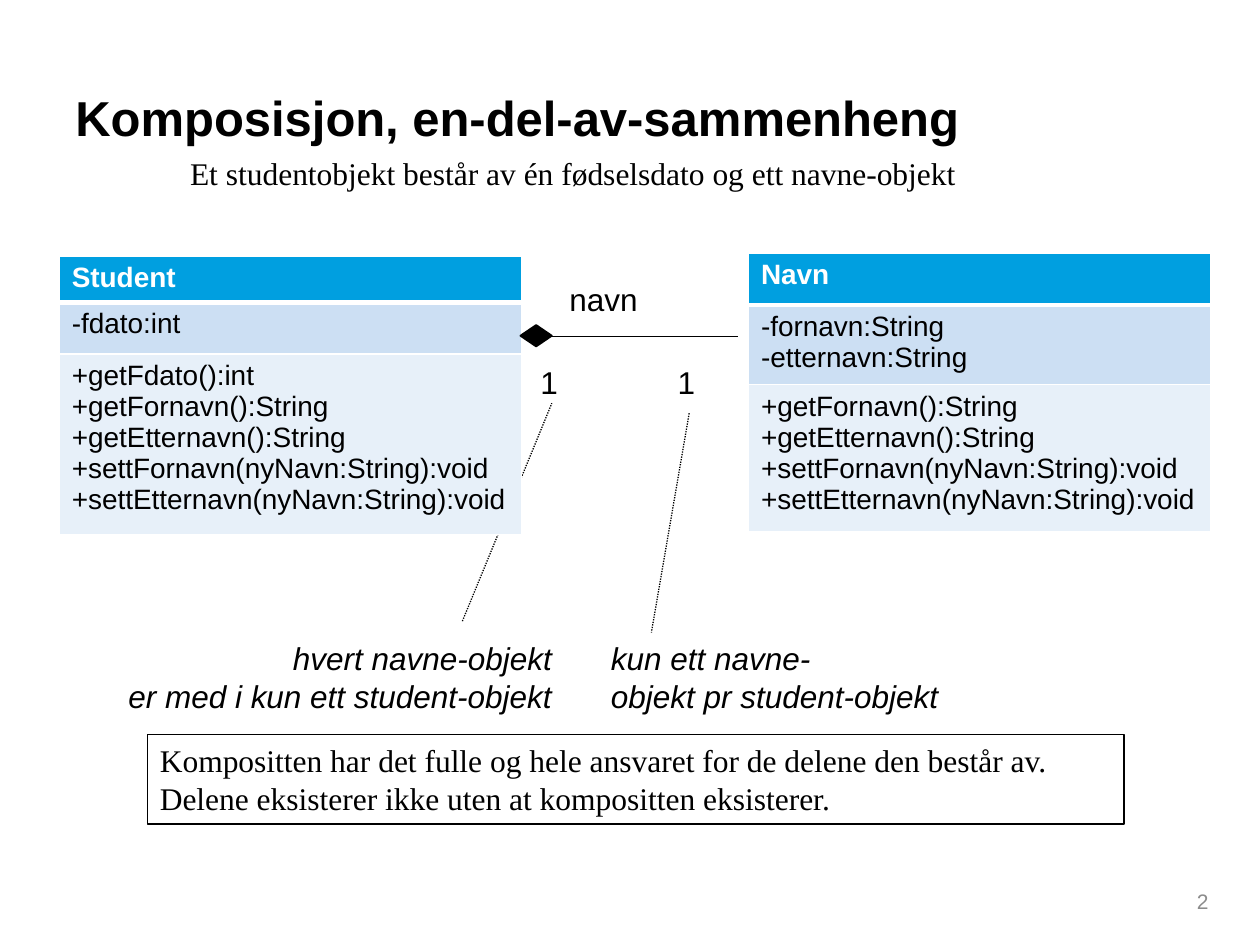
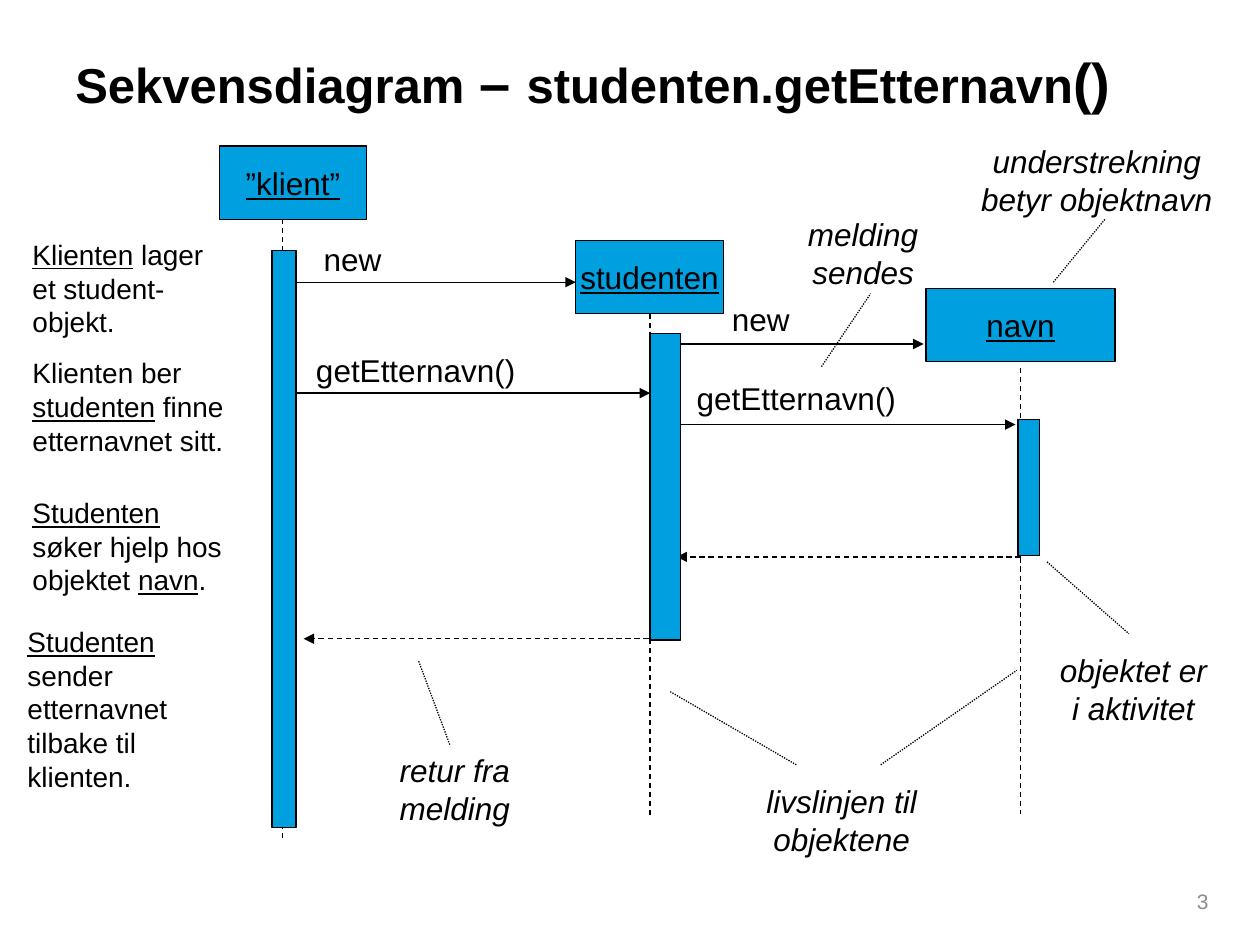
from dataclasses import dataclass
from typing import Any, NamedTuple, Optional

import pptx
import pptx.dml.color
import pptx.enum.dml
import pptx.enum.shapes
import pptx.enum.text
import pptx.oxml
import pptx.oxml.ns
import pptx.util
from lxml import etree

Inches = pptx.util.Inches
RGBColor = pptx.dml.color.RGBColor
Align = pptx.enum.text.PP_ALIGN
Anchor = pptx.enum.text.MSO_ANCHOR
Dash = pptx.enum.dml.MSO_LINE
Preset = pptx.enum.shapes.MSO_SHAPE


@dataclass(frozen=True)
class Theme:
    black: RGBColor = RGBColor(0x00, 0x00, 0x00)
    white: RGBColor = RGBColor(0xFF, 0xFF, 0xFF)
    grey: RGBColor = RGBColor(0x8C, 0x8C, 0x8C)
    blue: RGBColor = RGBColor(0x00, 0x9F, 0xE0)
    attribute_band: RGBColor = RGBColor(0xCC, 0xDF, 0xF3)
    method_band: RGBColor = RGBColor(0xE7, 0xF0, 0xF9)
    sans: str = "Arial"
    serif: str = "Times New Roman"
    title_size: int = 28
    title_accent_size: int = 32
    label_size: int = 18
    small_size: int = 16
    number_size: int = 12
    line_width: float = 0.75


THEME = Theme()


class Box(NamedTuple):
    left: float
    top: float
    width: float
    height: float


class Line(NamedTuple):
    start: tuple[float, float]
    end: tuple[float, float]
    dash: Optional[Any] = None
    arrow: bool = False


class Label(NamedTuple):
    box: Box
    text: str


class UmlClass(NamedTuple):
    left: float
    top: float
    row_heights: tuple[float, float, float]
    compartments: tuple[str, str, str]


def lengths(*values: float) -> list[int]:
    return [Inches(value) for value in values]


def write_text(
    frame: Any, text: str, *, size: float = THEME.label_size, font: str = THEME.sans,
    color: RGBColor = THEME.black, bold: bool = False, italic: bool = False,
    align: Any = Align.LEFT, marked_size: Optional[float] = None,
) -> None:
    """Write one paragraph per line; _marked_ parts are underlined, or resized to marked_size."""
    for index, line in enumerate(text.split("\n")):
        paragraph = frame.paragraphs[0] if index == 0 else frame.add_paragraph()
        paragraph.alignment = align
        for part_index, part in enumerate(line.split("_")):
            if not part:
                continue
            marked = part_index % 2 == 1
            run = paragraph.add_run()
            run.text = part
            run.font.name = font
            run.font.size = pptx.util.Pt(marked_size if marked and marked_size else size)
            run.font.color.rgb = color
            run.font.bold = bold
            run.font.italic = italic
            run.font.underline = marked and marked_size is None


def add_text(
    slide: Any, box: Box, text: str, *, wrap: bool = False, grow: bool = True,
    anchor: Any = Anchor.TOP, **text_format: Any,
) -> None:
    frame = slide.shapes.add_textbox(*lengths(*box)).text_frame
    frame.word_wrap = wrap
    if grow:
        frame.auto_size = pptx.enum.text.MSO_AUTO_SIZE.SHAPE_TO_FIT_TEXT
    frame.vertical_anchor = anchor
    write_text(frame, text, **text_format)


def add_block(
    slide: Any, box: Box, *, preset: Any = Preset.RECTANGLE,
    fill: Optional[RGBColor] = THEME.blue, line_width: float = THEME.line_width,
) -> Any:
    shape = slide.shapes.add_shape(preset, *lengths(*box))
    shape.shadow.inherit = False
    if fill is None:
        shape.fill.background()
    else:
        shape.fill.solid()
        shape.fill.fore_color.rgb = fill
    shape.line.color.rgb = THEME.black
    shape.line.width = pptx.util.Pt(line_width)
    return shape


def add_line(slide: Any, line: Line) -> None:
    connector = slide.shapes.add_connector(
        pptx.enum.shapes.MSO_CONNECTOR.STRAIGHT, *lengths(*line.start, *line.end))
    connector.line.color.rgb = THEME.black
    connector.line.width = pptx.util.Pt(THEME.line_width)
    if line.dash is not None:
        connector.line.dash_style = line.dash
    qn = pptx.oxml.ns.qn
    properties = connector.element.spPr
    if line.arrow:
        etree.SubElement(properties.find(qn("a:ln")), qn("a:tailEnd"), type="triangle")
    etree.SubElement(properties, qn("a:effectLst"))


def set_cell_borders(cell: Any, bottom_width: float) -> None:
    properties = cell._tc.get_or_add_tcPr()
    for side, width in (("L", 1), ("R", 1), ("T", 1), ("B", bottom_width)):
        properties.append(pptx.oxml.parse_xml(
            f'<a:ln{side} {pptx.oxml.ns.nsdecls("a")} w="{pptx.util.Pt(width)}">'
            f'<a:solidFill><a:srgbClr val="{THEME.white}"/></a:solidFill></a:ln{side}>'))


def add_uml_class(slide: Any, uml_class: UmlClass) -> None:
    width = 3.67
    table = slide.shapes.add_table(
        len(uml_class.compartments), 1,
        *lengths(uml_class.left, uml_class.top, width, sum(uml_class.row_heights))).table
    table.columns[0].width = Inches(width)
    fills = (THEME.blue, THEME.attribute_band, THEME.method_band)
    rows = zip(uml_class.row_heights, uml_class.compartments, fills)
    for index, (height, text, fill) in enumerate(rows):
        is_header = index == 0
        table.rows[index].height = Inches(height)
        cell = table.cell(index, 0)
        set_cell_borders(cell, 3 if is_header else 1)
        cell.fill.solid()
        cell.fill.fore_color.rgb = fill
        write_text(cell.text_frame, text, size=THEME.small_size, bold=is_header,
                   color=THEME.white if is_header else THEME.black)


def add_titled_slide(presentation: Any, title: str, title_box: Box, number: int) -> Any:
    slide = presentation.slides.add_slide(presentation.slide_layouts[6])
    add_text(slide, title_box, title, wrap=True, grow=False, anchor=Anchor.MIDDLE, bold=True,
             size=THEME.title_size, marked_size=THEME.title_accent_size)
    add_text(slide, Box(7.36, 6.95, 2.33, 0.4), str(number), wrap=True, grow=False,
             anchor=Anchor.MIDDLE, align=Align.RIGHT, size=THEME.number_size, color=THEME.grey)
    return slide


def build_composition_slide(presentation: Any) -> None:
    slide = add_titled_slide(
        presentation, "Komposisjon, en-del-av-sammenheng", Box(0.5, 0.3, 8.09, 1.25), 2)
    add_text(slide, Box(1.41, 1.17, 6.28, 0.4), font=THEME.serif,
             text="Et studentobjekt består av én fødselsdato og ett navne-objekt")

    association_labels = (
        Label(Box(5.28, 2.83, 0.34, 0.4), "1"),
        Label(Box(4.19, 2.83, 0.34, 0.4), "1"),
        Label(Box(4.42, 2.17, 0.74, 0.4), "navn"),
    )
    for label in association_labels:
        add_text(slide, label.box, label.text)
    lines = (
        Line((4.28, 2.67), (5.86, 2.67)),
        Line((5.47, 3.28), (5.17, 5.02), Dash.ROUND_DOT),
        Line((3.67, 4.93), (4.38, 3.2), Dash.ROUND_DOT),
    )
    for line in lines:
        add_line(slide, line)

    add_text(slide, Box(4.75, 5.02, 3.17, 0.7), "kun ett navne-\nobjekt pr student-objekt",
             wrap=True, anchor=Anchor.MIDDLE, italic=True)
    add_text(slide, Box(0.92, 5.02, 3.56, 0.7),
             "hvert navne-objekt\ner med i kun ett student-objekt",
             anchor=Anchor.MIDDLE, italic=True, align=Align.RIGHT)
    conclusion = add_block(slide, Box(1.17, 5.83, 7.75, 0.71), fill=None)
    conclusion.text_frame.word_wrap = True
    conclusion.text_frame.vertical_anchor = Anchor.TOP
    write_text(conclusion.text_frame, font=THEME.serif,
               text="Kompositten har det fulle og hele ansvaret for de delene den består av.\n"
                    "Delene eksisterer ikke uten at kompositten eksisterer.")

    name_methods = ("+getFornavn():String\n+getEtternavn():String\n"
                    "+settFornavn(nyNavn:String):void\n+settEtternavn(nyNavn:String):void")
    classes = (
        UmlClass(0.47, 2.03, (0.37, 0.41, 1.43),
                 ("Student", "-fdato:int", "+getFdato():int\n" + name_methods)),
        UmlClass(5.94, 2.01, (0.41, 0.63, 1.17),
                 ("Navn", "-fornavn:String\n-etternavn:String", name_methods)),
    )
    for uml_class in classes:
        add_uml_class(slide, uml_class)
    diamond = add_block(slide, Box(4.17, 2.54, 0.17, 0.25), preset=Preset.DIAMOND,
                        fill=THEME.black, line_width=1)
    diamond.rotation = 90


def build_sequence_slide(presentation: Any) -> None:
    slide = add_titled_slide(presentation, "Sekvensdiagram_ – _studenten.getEtternavn_()_",
                             Box(0.5, 0.3, 9, 0.69), 3)
    objects = (
        Label(Box(1.74, 1.16, 1.17, 0.58), "_”klient”_"),
        Label(Box(4.57, 1.91, 1.17, 0.58), "_studenten_"),
        Label(Box(7.35, 2.29, 1.5, 0.58), "_navn_"),
    )
    for label in objects:
        frame = add_block(slide, label.box).text_frame
        frame.word_wrap = False
        frame.vertical_anchor = Anchor.MIDDLE
        write_text(frame, label.text, align=Align.CENTER)

    lifelines = ((2.24, 1.74, 6.67), (5.16, 2.49, 6.49), (8.1, 2.92, 6.46))
    for x, top, bottom in lifelines:
        add_line(slide, Line((x, top), (x, bottom), Dash.DASH))
    calls = ((2.24, 4.57, 2.24), (2.34, 5.16, 3.12), (5.39, 7.33, 2.73), (5.16, 8.06, 3.37))
    returns = ((8.1, 5.37, 4.42), (5.22, 2.41, 5.07))
    for messages, dash in ((calls, None), (returns, Dash.DASH)):
        for start, end, y in messages:
            add_line(slide, Line((start, y), (end, y), dash, arrow=True))
    activations = (
        Box(8.08, 3.33, 0.17, 1.08), Box(5.16, 2.65, 0.24, 2.43), Box(2.16, 1.99, 0.19, 4.58))
    for activation in activations:
        add_block(slide, activation)

    message_labels = (
        Label(Box(2.47, 1.86, 0.66, 0.4), "new"),
        Label(Box(2.41, 2.74, 1.8, 0.4), "getEtternavn()"),
        Label(Box(5.71, 2.33, 0.66, 0.4), "new"),
        Label(Box(5.43, 2.96, 1.8, 0.4), "getEtternavn()"),
    )
    for label in message_labels:
        add_text(slide, label.box, label.text)

    pointers = (
        ((8.36, 2.24), (8.77, 1.74)), ((6.52, 2.91), (6.91, 2.33)), ((8.31, 4.46), (8.96, 5.03)),
        ((6.99, 6.07), (8.07, 5.32)), ((6.32, 6.07), (5.32, 5.49)), ((3.57, 5.91), (3.32, 5.24)),
    )
    for start, end in pointers:
        add_line(slide, Line(start, end, Dash.ROUND_DOT))
    explanations = (
        Label(Box(7.64, 1.08, 2.13, 0.7), "understrekning\nbetyr objektnavn"),
        Label(Box(6.31, 1.66, 1.08, 0.7), "melding\nsendes"),
        Label(Box(8.31, 5.12, 1.37, 0.7), "objektet er\ni aktivitet"),
        Label(Box(5.98, 6.16, 1.4, 0.7), "livslinjen til\nobjektene"),
        Label(Box(3.07, 5.91, 1.08, 0.7), "retur fra\nmelding"),
    )
    for label in explanations:
        add_text(slide, label.box, label.text, anchor=Anchor.MIDDLE, italic=True,
                 align=Align.CENTER)

    steps = (
        Label(Box(0.16, 1.83, 1.77, 0.91), "_Klienten_ lager et student-objekt."),
        Label(Box(0.16, 2.77, 1.77, 0.91), "Klienten ber _studenten_ finne\netternavnet sitt."),
        Label(Box(0.16, 3.88, 1.77, 0.91), "_Studenten_ søker hjelp hos objektet _navn_."),
        Label(Box(0.12, 4.9, 1.77, 1.45),
              "_Studenten_ sender etternavnet\ntilbake til klienten."),
    )
    for label in steps:
        add_text(slide, label.box, label.text, wrap=True, anchor=Anchor.MIDDLE,
                 size=THEME.small_size)


def main() -> None:
    presentation = pptx.Presentation()
    presentation.slide_width, presentation.slide_height = lengths(10, 7.5)
    build_composition_slide(presentation)
    build_sequence_slide(presentation)
    presentation.save("out.pptx")


if __name__ == "__main__":
    main()
